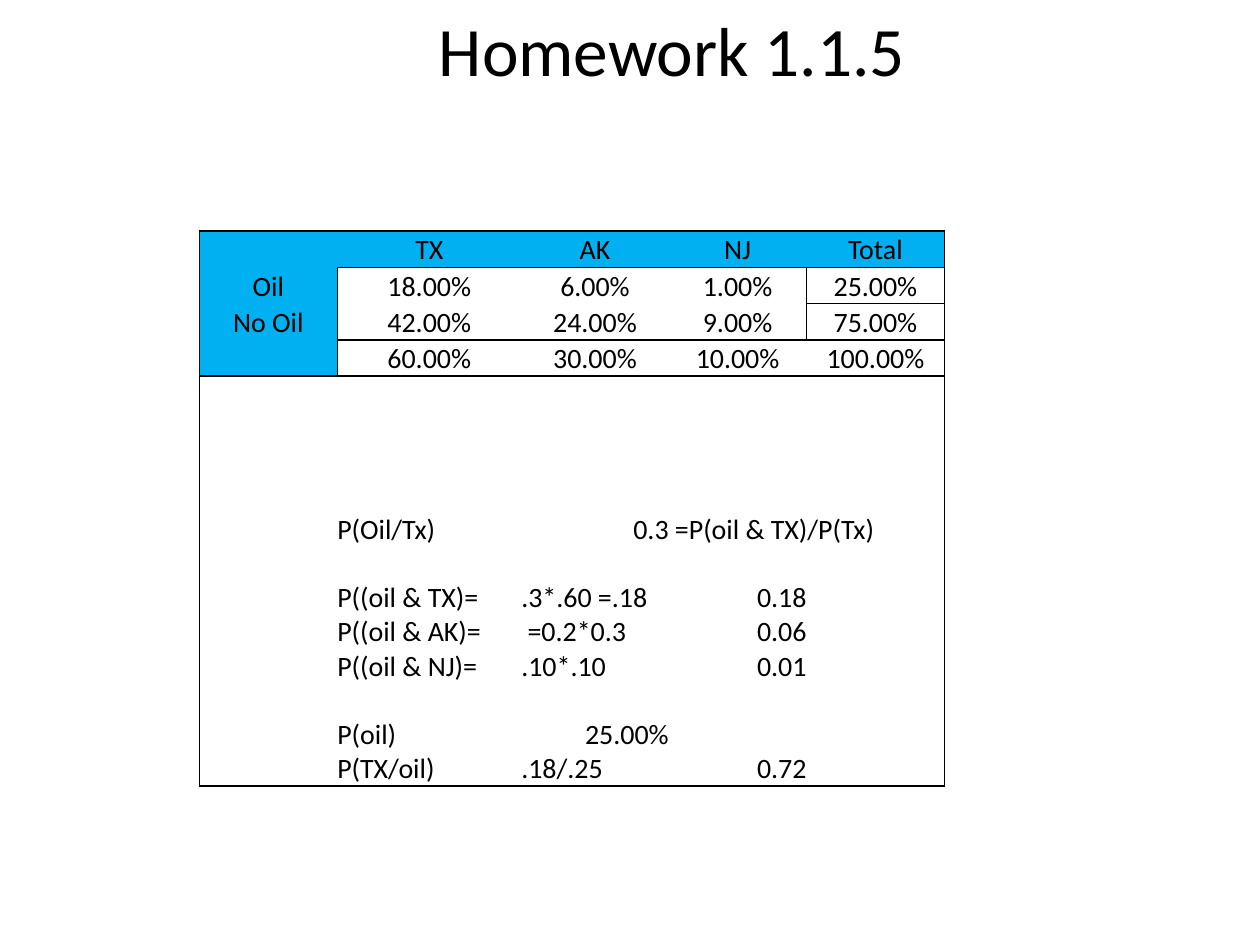
from lxml import etree
from pptx import Presentation
from pptx.dml.color import RGBColor
from pptx.enum.text import MSO_ANCHOR, PP_ALIGN
from pptx.oxml.ns import qn
from pptx.util import Cm, Pt

LEFT, CENTER, RIGHT = PP_ALIGN.LEFT, PP_ALIGN.CENTER, PP_ALIGN.RIGHT
MIDDLE, BOTTOM = MSO_ANCHOR.MIDDLE, MSO_ANCHOR.BOTTOM

BLACK, HEADER_BLUE = "000000", "00B0F0"
BODY_SIZE = 16
COLUMN_WIDTHS = [2.78, 3.71, 2.97, 2.78, 2.78]
ROW_HEIGHTS = [0.73] * 4 + [0.69] * 12
NO_MARGINS = {"margin_left": 0, "margin_right": 0, "margin_top": 0, "margin_bottom": 0}

PROBABILITIES = [
    ["", "TX", "AK", "NJ", "Total"],
    ["Oil", "18.00%", "6.00%", "1.00%", "25.00%"],
    ["No Oil", "42.00%", "24.00%", "9.00%", "75.00%"],
    ["", "60.00%", "30.00%", "10.00%", "100.00%"],
]
WORKINGS = {
    8: [("P(Oil/Tx)", LEFT), ("0.3", RIGHT), (" =P(oil & TX)/P(Tx)", LEFT)],
    10: [("P((oil & TX)=", LEFT), (".3*.60 =.18", LEFT), ("0.18", RIGHT)],
    11: [("P((oil & AK)=", LEFT), (" =0.2*0.3", LEFT), ("0.06", RIGHT)],
    12: [("P((oil & NJ)=", LEFT), (".10*.10", LEFT), ("0.01", RIGHT)],
    14: [("P(oil)", LEFT), ("25.00%", RIGHT)],
    15: [("P(TX/oil)", LEFT), (".18/.25", LEFT), ("0.72", RIGHT)],
}
OUTLINES = [
    (0, 0, 15, 4),
    (0, 0, 3, 4),
    (1, 1, 2, 3),
    (1, 4, 1, 4),
    (2, 4, 2, 4),
    (3, 1, 3, 4),
]


def color(hex_value):
    return RGBColor.from_string(hex_value)


def apply_format(target, values):
    for attribute, value in values.items():
        setattr(target, attribute, value)


def write(paragraph, text, size, alignment):
    paragraph.alignment = alignment
    run = paragraph.add_run()
    run.text = text
    apply_format(run.font, {"name": "Calibri", "size": Pt(size)})
    run.font.color.rgb = color(BLACK)


def add_title(slide, text):
    title = slide.shapes.add_textbox(Cm(1.7), Cm(0), Cm(23.7), Cm(1.98))
    frame = title.text_frame
    apply_format(frame, {"word_wrap": True, "vertical_anchor": MIDDLE, **NO_MARGINS})
    write(frame.paragraphs[0], text, 39.6, CENTER)


def outlined_edges():
    edges = set()
    for top, left, bottom, right in OUTLINES:
        for row in range(top, bottom + 1):
            edges |= {(row, left, "L"), (row, left - 1, "R"),
                      (row, right, "R"), (row, right + 1, "L")}
        for column in range(left, right + 1):
            edges |= {(top, column, "T"), (top - 1, column, "B"),
                      (bottom, column, "B"), (bottom + 1, column, "T")}
    return edges


def set_border(cell, side, visible):
    properties = cell._tc.get_or_add_tcPr()
    line = etree.SubElement(properties, qn(f"a:ln{side}"), w=str(Pt(1)))
    if visible:
        fill = etree.SubElement(line, qn("a:solidFill"))
        etree.SubElement(fill, qn("a:srgbClr"), val=BLACK)
    else:
        etree.SubElement(line, qn("a:noFill"))


def format_cell(cell, row, column, edges):
    apply_format(cell, {"vertical_anchor": BOTTOM, **NO_MARGINS})
    for side in "LRTB":
        set_border(cell, side, (row, column, side) in edges)
    if row == 0 or (column == 0 and row < len(PROBABILITIES)):
        cell.fill.solid()
        cell.fill.fore_color.rgb = color(HEADER_BLUE)
    else:
        cell.fill.background()


def cell_contents():
    contents = {}
    for row, labels in enumerate(PROBABILITIES):
        for column, label in enumerate(labels):
            if label:
                contents[row, column] = (label, CENTER)
    for row, steps in WORKINGS.items():
        for column, step in enumerate(steps, start=1):
            contents[row, column] = step
    return contents


def add_probability_table(slide):
    frame = slide.shapes.add_table(
        len(ROW_HEIGHTS), len(COLUMN_WIDTHS), Cm(4.02), Cm(4.66),
        Cm(sum(COLUMN_WIDTHS)), Cm(sum(ROW_HEIGHTS)))
    table = frame.table
    apply_format(table, {"first_row": False, "horz_banding": False})
    for column, width in zip(table.columns, COLUMN_WIDTHS):
        column.width = Cm(width)
    for row, height in zip(table.rows, ROW_HEIGHTS):
        row.height = Cm(height)

    edges, contents = outlined_edges(), cell_contents()
    for row in range(len(ROW_HEIGHTS)):
        for column in range(len(COLUMN_WIDTHS)):
            cell = table.cell(row, column)
            format_cell(cell, row, column, edges)
            paragraph = cell.text_frame.paragraphs[0]
            if (row, column) in contents:
                text, alignment = contents[row, column]
                write(paragraph, text, BODY_SIZE, alignment)
            else:
                etree.SubElement(paragraph._p, qn("a:endParaRPr"), sz=str(BODY_SIZE * 100))

    formula = table.cell(8, 3)
    formula.merge(table.cell(8, 4))
    formula._tc.tcPr.remove(formula._tc.tcPr.find(qn("a:lnR")))
    right_edge = etree.Element(qn("a:lnR"), w=str(Pt(1)))
    fill = etree.SubElement(right_edge, qn("a:solidFill"))
    etree.SubElement(fill, qn("a:srgbClr"), val=BLACK)
    formula._tc.tcPr.insert(1, right_edge)


def main():
    presentation = Presentation()
    apply_format(presentation, {"slide_width": Cm(25.4), "slide_height": Cm(19.05)})
    slide = presentation.slides.add_slide(presentation.slide_layouts[6])
    add_title(slide, "Homework 1.1.5")
    add_probability_table(slide)
    presentation.save("out.pptx")


if __name__ == "__main__":
    main()
